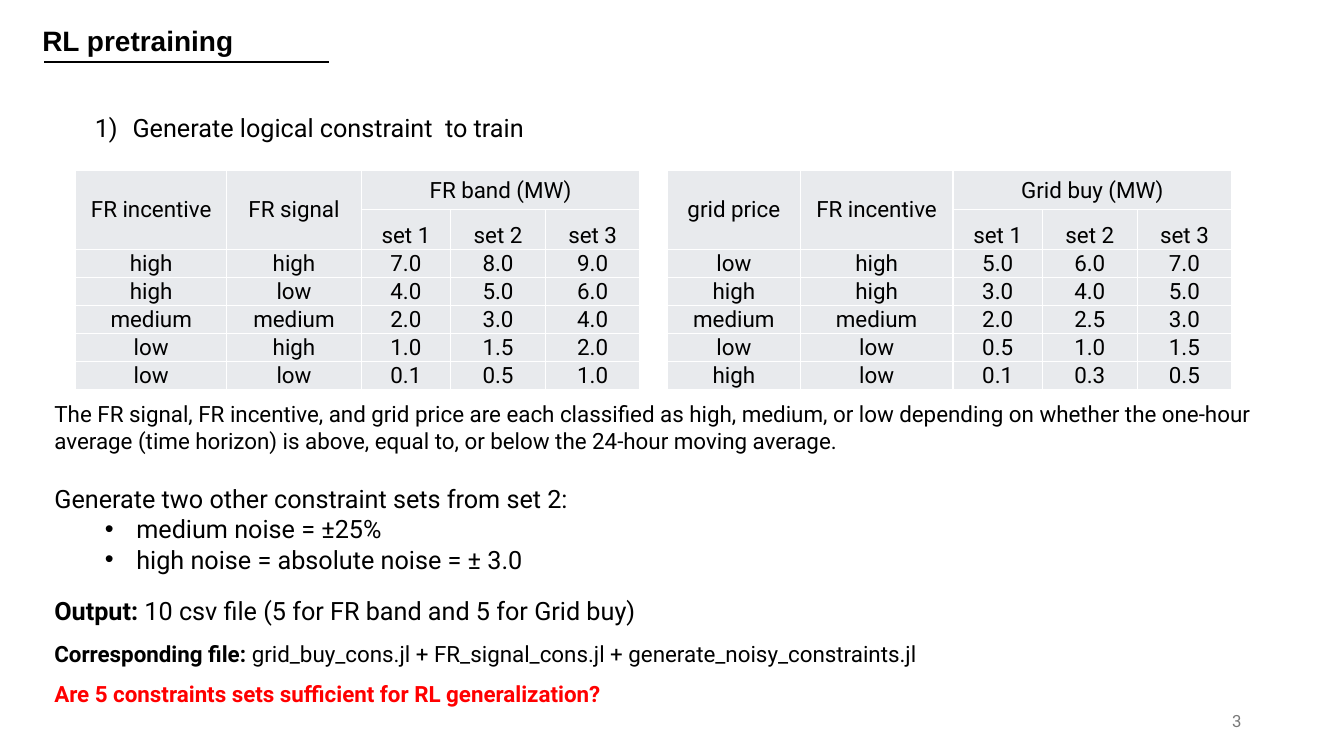
from lxml.etree import SubElement
from pptx import Presentation
from pptx.dml.color import RGBColor
from pptx.enum.shapes import MSO_CONNECTOR as Connector
from pptx.enum.text import MSO_ANCHOR as Anchor, MSO_AUTO_SIZE as AutoSize, PP_ALIGN as Align
from pptx.oxml.ns import qn
from pptx.util import Pt

BLACK, WHITE, RED, GREY, CELL_FILL = "000000", "FFFFFF", "FF0000", "797979", "E8EAED"
SETS = ["set 1", "set 2", "set 3"]
HEADER_HEIGHT, ROW_HEIGHT = 28.2, 20

FR_BAND_ROWS = [
    ["high", "high", "7.0", "8.0", "9.0"],
    ["high", "low", "4.0", "5.0", "6.0"],
    ["medium", "medium", "2.0", "3.0", "4.0"],
    ["low", "high", "1.0", "1.5", "2.0"],
    ["low", "low", "0.1", "0.5", "1.0"],
]
GRID_BUY_ROWS = [
    ["low", "high", "5.0", "6.0", "7.0"],
    ["high", "high", "3.0", "4.0", "5.0"],
    ["medium", "medium", "2.0", "2.5", "3.0"],
    ["low", "low", "0.5", "1.0", "1.5"],
    ["high", "low", "0.1", "0.3", "0.5"],
]


def rgb(color):
    """Turn a hex string into a colour."""
    return RGBColor.from_string(color)


def style_font(paragraph, size, color=BLACK, name="Roboto", bold=False):
    """Set the font of a whole paragraph."""
    font = paragraph.font
    font.size, font.name, font.bold = Pt(size), name, bold
    font.color.rgb = rgb(color)


def set_bullet(paragraph, tag="a:buNone", left=0, hanging=0, **attributes):
    """Give a paragraph its bullet and hanging indent."""
    properties = paragraph._p.get_or_add_pPr()
    properties.set("marL", str(Pt(left)))
    properties.set("indent", str(-Pt(hanging)))
    SubElement(properties, qn(tag), attributes)


def prepare_frame(shape, box, anchor=Anchor.TOP):
    """Place a text shape in its box and return its text frame."""
    shape.left, shape.top, shape.width, shape.height = map(Pt, box)
    frame = shape.text_frame
    frame.word_wrap, frame.auto_size = True, AutoSize.NONE
    frame.vertical_anchor = anchor
    return frame


def add_frame(slide, box, anchor=Anchor.TOP):
    """Add a text box and return its text frame."""
    return prepare_frame(slide.shapes.add_textbox(*map(Pt, box)), box, anchor)


def add_labelled(paragraph, label, text, size):
    """Write a bold label followed by regular text."""
    style_font(paragraph, size)
    paragraph.add_run().text = label
    paragraph.add_run().text = text
    paragraph.runs[0].font.bold = True


def build_title(slide, box):
    """Write the title and the rule under it."""
    left, top, width, height = box
    frame = prepare_frame(slide.shapes.title, box)
    paragraph = frame.paragraphs[0]
    paragraph.text, paragraph.alignment = "RL pretraining", Align.LEFT
    style_font(paragraph, 20, name="Arial", bold=True)
    start, rule_y = left + 8.7, top + height
    rule = slide.shapes.add_connector(
        Connector.STRAIGHT, Pt(start), Pt(rule_y), Pt(start + 203), Pt(rule_y))
    rule.line.color.rgb, rule.line.width = rgb(BLACK), Pt(1.5)
    SubElement(rule._element.spPr, qn("a:effectLst"))


def build_step(placeholder, box):
    """Write the numbered step above the tables."""
    paragraph = prepare_frame(placeholder, box).paragraphs[0]
    paragraph.text = "Generate logical constraint  to train"
    set_bullet(paragraph, "a:buAutoNum", 27, 27, type="arabicParenR")
    paragraph.space_before = Pt(0)
    style_font(paragraph, 18)


def style_cell(cell, text, margins, anchor):
    """Fill, border and letter one table cell."""
    cell.margin_left, cell.margin_top, cell.margin_right, cell.margin_bottom = map(Pt, margins)
    cell.vertical_anchor = anchor
    properties = cell._tc.get_or_add_tcPr()
    for side in ("a:lnL", "a:lnR", "a:lnT", "a:lnB"):
        line = SubElement(properties, qn(side), w=str(Pt(1)))
        SubElement(SubElement(line, qn("a:solidFill")), qn("a:srgbClr"), val=WHITE)
    cell.fill.solid()
    cell.fill.fore_color.rgb = rgb(CELL_FILL)
    paragraph = cell.text_frame.paragraphs[0]
    paragraph.text, paragraph.alignment = text, Align.CENTER
    style_font(paragraph, 16)


def build_table(slide, left, top, widths, headings, rows, value_anchor):
    """Draw a table of conditions and three value sets under a two-row header."""
    cells = [headings + ["", ""], ["", ""] + SETS] + rows
    heights = [HEADER_HEIGHT] * 2 + [ROW_HEIGHT] * len(rows)
    table = slide.shapes.add_table(
        len(cells), len(widths), Pt(left), Pt(top), Pt(sum(widths)), Pt(sum(heights))).table
    table.first_row = table.horz_banding = False
    for column, width in zip(table.columns, widths):
        column.width = Pt(width)
    for row, height in zip(table.rows, heights):
        row.height = Pt(height)
    for row_index, texts in enumerate(cells):
        for column_index, text in enumerate(texts):
            margins = (9, 4.5, 9, 4.5) if row_index == 0 else (0.7, 0.7, 0.7, 0)
            anchor = Anchor.BOTTOM
            if row_index == 0 and column_index < 2:
                anchor = Anchor.MIDDLE
            elif row_index > 1 and column_index > 1:
                anchor = value_anchor
            style_cell(table.cell(row_index, column_index), text, margins, anchor)
    for column_index in range(2):
        table.cell(0, column_index).merge(table.cell(1, column_index))
    table.cell(0, 2).merge(table.cell(0, 4))


def build_explanation(placeholder, box):
    """Write the classification rule and the list of noise levels."""
    frame = prepare_frame(placeholder, box)
    lines = [
        ("The FR signal, FR incentive, and grid price are each classified as high, medium, "
         "or low depending on whether the one-hour average (time horizon) is above, "
         "equal to, or below the 24-hour moving average.", 16, 0, 0),
        ("Generate two other constraint sets from set 2:", 18, 21.1, 0),
        ("medium noise = ±25%", 18, 0, 1),
        ("high noise = absolute noise = ± 3.0", 18, 0, 1),
    ]
    for index, (text, size, gap, level) in enumerate(lines):
        paragraph = frame.add_paragraph() if index else frame.paragraphs[0]
        paragraph.text, paragraph.level = text, level
        if level:
            set_bullet(paragraph, "a:buChar", 58.5, 22.5, char="•")
        else:
            set_bullet(paragraph)
        paragraph.space_before = Pt(gap)
        style_font(paragraph, size)


def build_output(slide, box):
    """Write the output line."""
    add_labelled(add_frame(slide, box).paragraphs[0], "Output:",
                 " 10 csv file (5 for FR band and 5 for Grid buy)", 18)


def build_files(slide, box):
    """Write the file names and the open question."""
    frame = add_frame(slide, box)
    add_labelled(frame.paragraphs[0], "Corresponding file: ",
                 "grid_buy_cons.jl + FR_signal_cons.jl + generate_noisy_constraints.jl", 16)
    question = frame.add_paragraph()
    question.text = "Are 5 constraints sets sufficient for RL generalization?"
    question.line_spacing = 1.5
    style_font(question, 16, RED, bold=True)


def build_page_number(slide, box):
    """Write the page number."""
    paragraph = add_frame(slide, box, Anchor.MIDDLE).paragraphs[0]
    paragraph.text, paragraph.alignment = "3", Align.RIGHT
    style_font(paragraph, 12, GREY)


def main():
    """Build the slide and save it."""
    presentation = Presentation()
    presentation.slide_width, presentation.slide_height = Pt(960), Pt(540)
    slide = presentation.slides.add_slide(presentation.slide_layouts[3])
    step, explanation = slide.placeholders[1], slide.placeholders[2]
    build_title(slide, (23, 13, 355, 31.5))
    build_step(step, (60.5, 76.3, 480, 29))
    build_table(slide, 54, 121.7, [108, 96, 64, 67.6, 67.6],
                ["FR incentive", "FR signal", "FR band (MW)"], FR_BAND_ROWS, Anchor.MIDDLE)
    build_table(slide, 476.7, 121.7, [95, 109, 64, 67.6, 67.6],
                ["grid price", "FR incentive", "Grid buy (MW)"], GRID_BUY_ROWS, Anchor.BOTTOM)
    build_explanation(explanation, (31.7, 282.2, 876, 172))
    build_output(slide, (31.7, 422, 480, 29))
    build_files(slide, (31.7, 453.6, 735, 73))
    build_page_number(slide, (678, 500.4, 216, 29))
    presentation.save("out.pptx")


if __name__ == "__main__":
    main()
